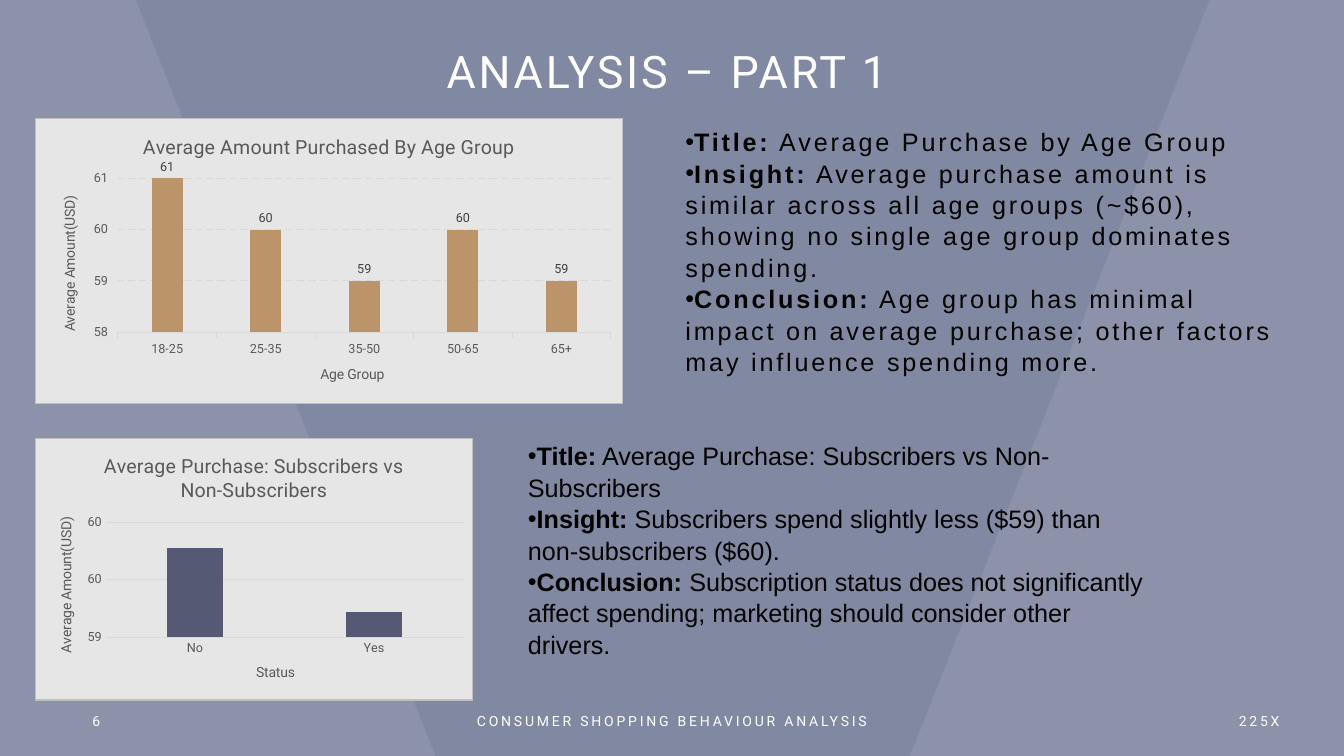
from dataclasses import dataclass
from typing import NamedTuple

from lxml import etree
from pptx import Presentation
from pptx.chart.data import CategoryChartData
from pptx.dml.color import RGBColor
from pptx.enum.chart import XL_CHART_TYPE, XL_LABEL_POSITION, XL_TICK_MARK
from pptx.enum.dml import MSO_LINE
from pptx.enum.text import MSO_ANCHOR, MSO_AUTO_SIZE, PP_ALIGN
from pptx.oxml import parse_xml
from pptx.oxml.ns import nsdecls, qn
from pptx.util import Pt

COLUMNS = XL_CHART_TYPE.COLUMN_CLUSTERED
OUTSIDE, NO_TICK = XL_TICK_MARK.OUTSIDE, XL_TICK_MARK.NONE
LABEL_OUTSIDE = XL_LABEL_POSITION.OUTSIDE_END
LONG_DASH = MSO_LINE.LONG_DASH
LEFT, CENTER, RIGHT = PP_ALIGN.LEFT, PP_ALIGN.CENTER, PP_ALIGN.RIGHT
MIDDLE = MSO_ANCHOR.MIDDLE
FIT_SHAPE = MSO_AUTO_SIZE.SHAPE_TO_FIT_TEXT

COLORS = {
    "background": "8189A2", "band": "E6E7EC", "white": "FFFFFF", "black": "000000",
    "panel": "E7E6E6", "border": "BFBFBF", "grid": "D9D9D9", "gray": "595959",
    "label": "404040", "tan": "BB9569", "navy": "555973",
}


class Box(NamedTuple):
    left: float
    top: float
    width: float
    height: float


@dataclass
class ColumnChart:
    box: Box
    title: str
    category_title: str
    values: dict[str, int]
    color: str
    scale: tuple[float, float, float]  # minimum, maximum, step
    plot: Box  # fractions of the chart area
    detailed: bool  # ticks, dashed grid and value labels


@dataclass
class Footer:
    box: Box
    text: str
    align: PP_ALIGN


BANDS = [
    [(0, 0), (0, 540), (311, 540), (97, 0)],
    [(864, 0), (650, 540), (960, 540), (960, 0)],
]
FOOTERS = [
    Footer(Box(59, 500.4, 216, 28.8), "6", LEFT),
    Footer(Box(318, 500.4, 324, 28.8), "CONSUMER SHOPPING BEHAVIOUR ANALYSIS", CENTER),
    Footer(Box(705, 500.4, 216, 28.8), "225X", RIGHT),
]
CHARTS = [
    ColumnChart(Box(25.2, 84.4, 419.8, 204.2), "Average Amount Purchased By Age Group",
                "Age Group", {"18-25": 61, "25-35": 60, "35-50": 59, "50-65": 60, "65+": 59},
                "tan", (58, 61, 1), Box(0.14, 0.21, 0.84, 0.54), True),
    ColumnChart(Box(25.2, 312.8, 312.5, 187.6),
                "Average Purchase: Subscribers vs Non-Subscribers",
                "Status", {"No": 60, "Yes": 59},
                "navy", (58.6, 60.4, 0.9), Box(0.16, 0.32, 0.82, 0.44), False),
]
AGE_NOTES = {
    "Title:": " Average Purchase by Age Group",
    "Insight:": " Average purchase amount is similar across all age groups (~$60), "
                "showing no single age group dominates spending.",
    "Conclusion:": " Age group has minimal impact on average purchase; "
                   "other factors may influence spending more.",
}
SUBSCRIBER_NOTES = {
    "Title:": " Average Purchase: Subscribers vs Non-Subscribers",
    "Insight:": " Subscribers spend slightly less ($59) than non-subscribers ($60).",
    "Conclusion:": " Subscription status does not significantly affect spending; "
                   "marketing should consider other drivers.",
}


def rgb(name: str) -> RGBColor:
    return RGBColor.from_string(COLORS[name])


def points(box: Box) -> list[Pt]:
    return [Pt(length) for length in box]


def set_font(font, size: float, color: str, name: str = "Roboto", spacing: int = 0) -> None:
    font.size, font.name, font.bold = Pt(size), name, False
    font.color.rgb = rgb(color)
    if spacing:
        font._rPr.set("spc", str(spacing * 100))


def place(shape, box: Box) -> None:
    shape.left, shape.top, shape.width, shape.height = points(box)


def add_band(page, corners: list[tuple[int, int]]) -> None:
    builder = page.shapes.build_freeform(*corners[0], scale=float(Pt(1)))
    builder.add_line_segments(corners[1:], close=True)
    band = builder.convert_to_shape()
    band.shadow.inherit = False
    band.fill.solid()
    band.fill.fore_color.rgb = rgb("band")
    band.line.fill.background()
    color = band._element.spPr.find(".//" + qn("a:srgbClr"))
    etree.SubElement(color, qn("a:alpha"), val="10000")
    page.shapes.title._element.addprevious(band._element)  # behind the title


def write_line(shape, text: str, size: float, align: PP_ALIGN) -> None:
    frame = shape.text_frame
    frame.word_wrap, frame.vertical_anchor = True, MIDDLE
    para = frame.paragraphs[0]
    para.text, para.alignment = text, align
    set_font(para.font, size, "white", spacing=2)


def write_notes(shape, notes: dict[str, str], spacing: int) -> None:
    frame = shape.text_frame
    frame.word_wrap, frame.vertical_anchor = True, MIDDLE
    frame.auto_size = FIT_SHAPE
    for index, (heading, text) in enumerate(notes.items()):
        para = frame.add_paragraph() if index else frame.paragraphs[0]
        para.alignment, para.space_before, para.line_spacing = LEFT, Pt(0), 1.04
        properties = para._p.get_or_add_pPr()
        properties.set("marL", "0")
        properties.set("indent", "0")
        etree.SubElement(properties, qn("a:buFont"), typeface="Arial")
        etree.SubElement(properties, qn("a:buChar"), char="•")
        set_font(para.font, 18, "black", "Arial", spacing)
        for words, bold in ((heading, True), (text, False)):
            span = para.add_run()
            span.text, span.font.bold = words, bold


def write_chart_title(owner, text: str, size: float) -> None:
    owner.has_title = True
    title = owner.chart_title if hasattr(owner, "chart_title") else owner.axis_title
    para = title.text_frame.paragraphs[0]
    para.text = text
    set_font(para.font, size, "gray")


def frame_chart(chart, plot: Box) -> None:
    """Give the chart its panel and fix the inner plot area."""
    area = chart._chartSpace.find(qn("c:chart"))
    area.addnext(parse_xml(
        f'<c:spPr {nsdecls("c", "a")}><a:solidFill><a:srgbClr val="{COLORS["panel"]}"/>'
        f'</a:solidFill><a:ln w="{Pt(0.75)}"><a:solidFill>'
        f'<a:srgbClr val="{COLORS["border"]}"/></a:solidFill></a:ln></c:spPr>'))
    plot_area = area.find(qn("c:plotArea"))
    for layout in plot_area.findall(qn("c:layout")):
        plot_area.remove(layout)
    settings = {"layoutTarget": "inner", "xMode": "edge", "yMode": "edge",
                "x": plot.left, "y": plot.top, "w": plot.width, "h": plot.height}
    items = "".join(f'<c:{key} val="{value}"/>' for key, value in settings.items())
    plot_area.insert(0, parse_xml(
        f'<c:layout {nsdecls("c")}><c:manualLayout>{items}</c:manualLayout></c:layout>'))


def add_column_chart(page, item: ColumnChart) -> None:
    data = CategoryChartData(number_format="0")
    data.categories = list(item.values)
    data.add_series("Series 1", list(item.values.values()))
    chart = page.shapes.add_chart(COLUMNS, *points(item.box), data).chart
    chart.has_legend = False
    set_font(chart.font, 10, "black")
    write_chart_title(chart, item.title, 14)
    chart.chart_title.include_in_layout = False
    frame_chart(chart, item.plot)

    # Axes
    across, up = chart.category_axis, chart.value_axis
    for axis, title in ((across, item.category_title), (up, "Average Amount(USD)")):
        write_chart_title(axis, title, 10)
        set_font(axis.tick_labels.font, 9, "gray")
        axis.major_tick_mark = OUTSIDE if item.detailed else NO_TICK
        axis.minor_tick_mark = NO_TICK
    up.minimum_scale, up.maximum_scale, up.major_unit = item.scale
    up.tick_labels.number_format, up.tick_labels.number_format_is_linked = "0", False
    up.format.line.fill.background()
    up.has_major_gridlines = True
    for line in (across.format.line, up.major_gridlines.format.line):
        line.color.rgb, line.width = rgb("grid"), Pt(0.75)
    if item.detailed:
        up.major_gridlines.format.line.dash_style = LONG_DASH

    # Columns
    plot = chart.plots[0]
    plot.gap_width, plot.overlap, plot.vary_by_categories = 219, -27, False
    fill = plot.series[0].format.fill
    fill.solid()
    fill.fore_color.rgb = rgb(item.color)
    if item.detailed:
        labels = plot.series[0].data_labels
        labels.show_value, labels.position = True, LABEL_OUTSIDE
        labels.number_format, labels.number_format_is_linked = "0", False
        set_font(labels.font, 9, "label")


def main() -> None:
    deck = Presentation()
    deck.slide_width, deck.slide_height = Pt(960), Pt(540)
    page = deck.slides.add_slide(deck.slide_layouts[1])
    page.background.fill.solid()
    page.background.fill.fore_color.rgb = rgb("background")

    # Backdrop, title and footer
    for corners in BANDS:
        add_band(page, corners)
    title, body = page.shapes.title, page.placeholders[1]
    place(title, Box(62.6, 31, 828, 44))
    write_line(title, "ANALYSIS – PART 1", 32, CENTER)
    title.text_frame.paragraphs[0].line_spacing = 0.9
    for footer in FOOTERS:
        write_line(page.shapes.add_textbox(*points(footer.box)), footer.text, 10, footer.align)

    # Charts and their notes
    for item in CHARTS:
        add_column_chart(page, item)
    place(body, Box(482.4, 88.6, 444.2, 181.4))
    write_notes(body, AGE_NOTES, spacing=2)
    notes = page.shapes.add_textbox(*points(Box(370, 312.5, 458, 159.8)))
    write_notes(notes, SUBSCRIBER_NOTES, spacing=0)

    deck.save("out.pptx")


if __name__ == "__main__":
    main()
